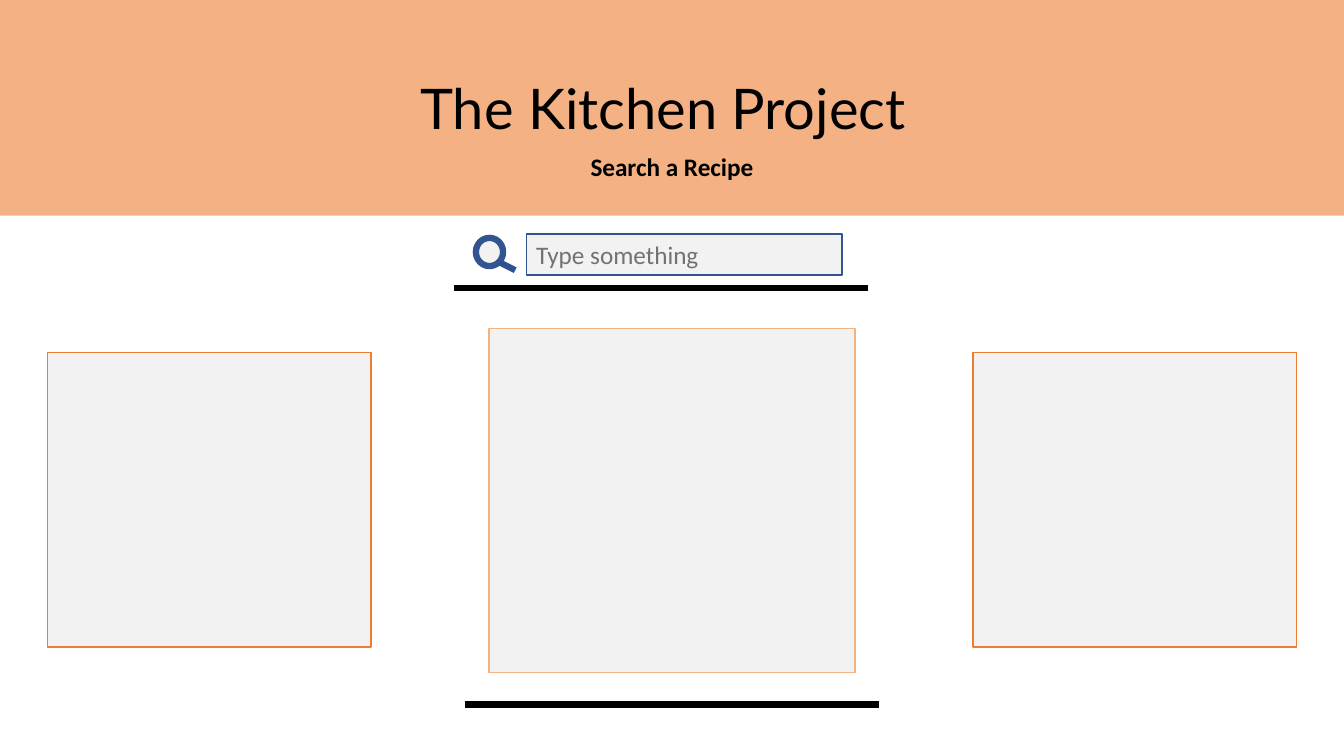
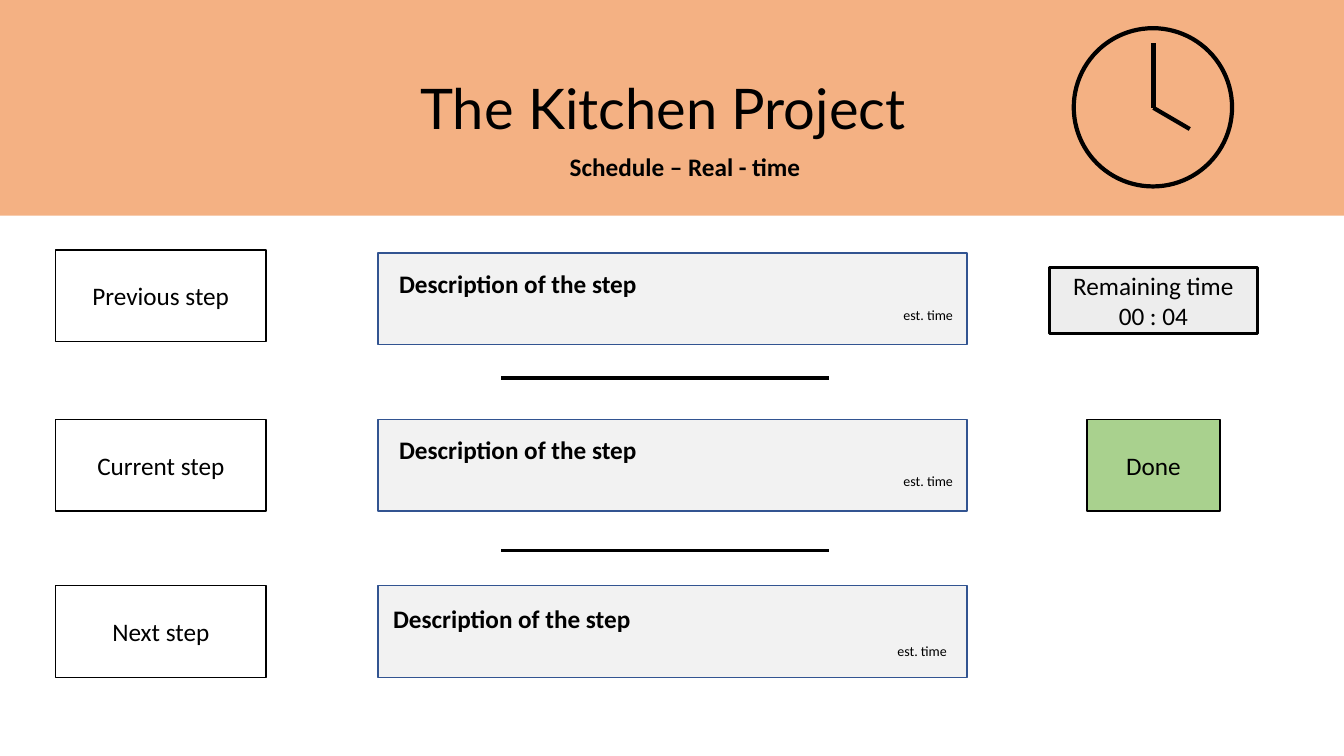
import pptx
import pptx.util
import pptx.dml.color
import pptx.enum.shapes
import pptx.enum.text
import pptx.oxml.ns
import lxml.etree

Inches = pptx.util.Inches
Pt = pptx.util.Pt
color = pptx.dml.color.RGBColor.from_string
SHAPE = pptx.enum.shapes.MSO_SHAPE
ALIGN = pptx.enum.text.PP_ALIGN
ANCHOR = pptx.enum.text.MSO_ANCHOR

PEACH, ORANGE, BLUE, DARK_BLUE = "F4B183", "ED7D31", "325491", "2F528F"
LIGHT, PALE, GREEN, GREY = "F2F2F2", "EDEDED", "A9D18E", "767171"
BLACK, WHITE = "000000", "FFFFFF"


def add_box(page, place, fill=None, line=None, width=1, lines=(), align=ALIGN.CENTER,
            ink=BLACK, bold=False, kind=SHAPE.RECTANGLE):
    """Add a shape, or a plain text box when kind is None; lines are its paragraphs."""
    place = [Inches(length) for length in place]
    if kind is None:
        box = page.shapes.add_textbox(*place)
    else:
        box = page.shapes.add_shape(kind, *place)
        box.shadow.inherit = False
        box.text_frame.vertical_anchor = ANCHOR.MIDDLE
        if fill:
            box.fill.solid()
            box.fill.fore_color.rgb = color(fill)
        else:
            box.fill.background()
        if line:
            box.line.color.rgb = color(line)
            box.line.width = Pt(width)
        else:
            box.line.fill.background()
    frame = box.text_frame
    frame.word_wrap = True
    for index, text in enumerate(lines):
        para = frame.add_paragraph() if index else frame.paragraphs[0]
        para.alignment = align
        span = para.add_run()
        span.text = text
        span.font.name = "Calibri"
        span.font.size = Pt(18)
        span.font.bold = bold
        span.font.color.rgb = color(ink)
    return box


def add_line(page, start, end, width, ink=BLACK):
    """Add a straight line between two points."""
    line = page.shapes.add_connector(
        pptx.enum.shapes.MSO_CONNECTOR.STRAIGHT,
        *[Inches(length) for length in (*start, *end)])
    line.line.color.rgb = color(ink)
    line.line.width = Pt(width)
    properties = line.element.find(pptx.oxml.ns.qn("p:spPr"))
    lxml.etree.SubElement(properties, pptx.oxml.ns.qn("a:effectLst"))


deck = pptx.Presentation()
deck.slide_width = Inches(13.33)
deck.slide_height = Inches(7.5)

# Shared header: band, title and subtitle
pages = []
for subtitle, subtitle_width in (("Search a Recipe", 2.59), ("Schedule – Real - time", 2.85)):
    page = deck.slides.add_slide(deck.slide_layouts[5])
    title = page.shapes.title
    band = add_box(page, (0, 0, 13.33, 2.14), PEACH)
    title.element.addprevious(band.element)
    title.left, title.top = Inches(4.07), Inches(0.68)
    title.width, title.height = Inches(5.19), Inches(0.77)
    title.text_frame.auto_size = pptx.enum.text.MSO_AUTO_SIZE.NONE
    title.text_frame.vertical_anchor = ANCHOR.TOP
    para = title.text_frame.paragraphs[0]
    para.alignment = ALIGN.LEFT
    span = para.add_run()
    span.text = "The Kitchen Project"
    span.font.name = "Lato"
    span.font.size = Pt(40)
    span.font.color.rgb = color(BLACK)
    add_box(page, (5.37, 1.45, subtitle_width, 0.4), lines=[subtitle], bold=True, kind=None)
    pages.append(page)
search, schedule = pages

# Search page: recipe panels between two rules
add_box(search, (4.85, 3.26, 3.63, 3.41), LIGHT, PEACH)
for left in (0.47, 9.65):
    add_box(search, (left, 3.5, 3.21, 2.92), LIGHT, ORANGE)
for left, top in ((4.5, 2.86), (4.61, 6.99)):
    add_line(search, (left, top), (left + 4.11, top), 4.5)

# Search page: magnifier and search field
add_box(search, (4.72, 2.36, 0.27, 0.28), LIGHT, BLUE, 4.5, kind=SHAPE.OVAL)
add_line(search, (4.95, 2.6), (5.11, 2.68), 4.5, DARK_BLUE)
add_box(search, (5.22, 2.32, 3.13, 0.41), LIGHT, BLUE, lines=["Type something"],
        align=ALIGN.LEFT, ink=GREY)

# Schedule page: one row for each step
steps = (("Previous step", 2.48, 3.86, 2.61),
         ("Current step", 4.16, 3.86, 4.26),
         ("Next step", 5.81, 3.8, 5.94))
for row, (name, name_top, text_left, text_top) in enumerate(steps):
    add_box(schedule, (0.55, name_top, 2.09, 0.91), WHITE, BLACK, lines=[name])
    add_box(schedule, (3.75, 2.51 + 1.65 * row, 5.84, 0.91), LIGHT, BLUE)
    description = add_box(schedule, (text_left, text_top, 5.72, 0.66), bold=True, kind=None,
                          lines=["Description of the step", "est. time"], align=ALIGN.LEFT)
    description.text_frame.margin_right = Inches(0.13)
    estimate = description.text_frame.paragraphs[1]
    estimate.alignment = ALIGN.RIGHT
    estimate.space_before = Pt(6)
    estimate.runs[0].font.size = Pt(10)
    estimate.runs[0].font.bold = False

# Schedule page: rules between the rows
for top in (3.75, 5.46):
    add_line(schedule, (4.97, top), (8.22, top), 2.25)

# Schedule page: clock, remaining time and button
add_box(schedule, (10.65, 0.28, 1.57, 1.57), None, BLACK, 3, kind=SHAPE.OVAL)
for tip in ((11.44, 0.43), (11.8, 1.28)):
    add_line(schedule, (11.44, 1.07), tip, 3)
add_box(schedule, (10.41, 2.65, 2.06, 0.66), PALE, BLACK, 2.25,
        lines=["Remaining time", "00 : 04"])
add_box(schedule, (10.78, 4.16, 1.32, 0.91), GREEN, BLACK, lines=["Done"])

deck.save("out.pptx")
